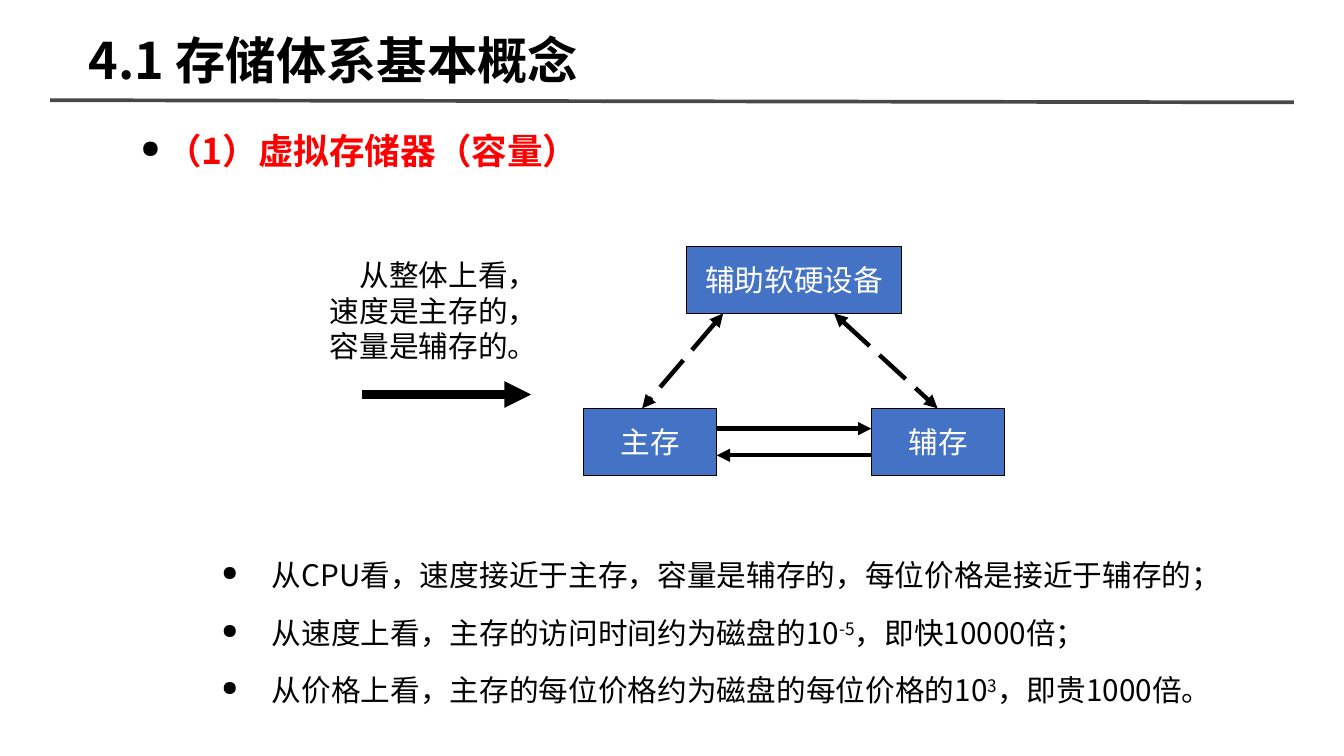
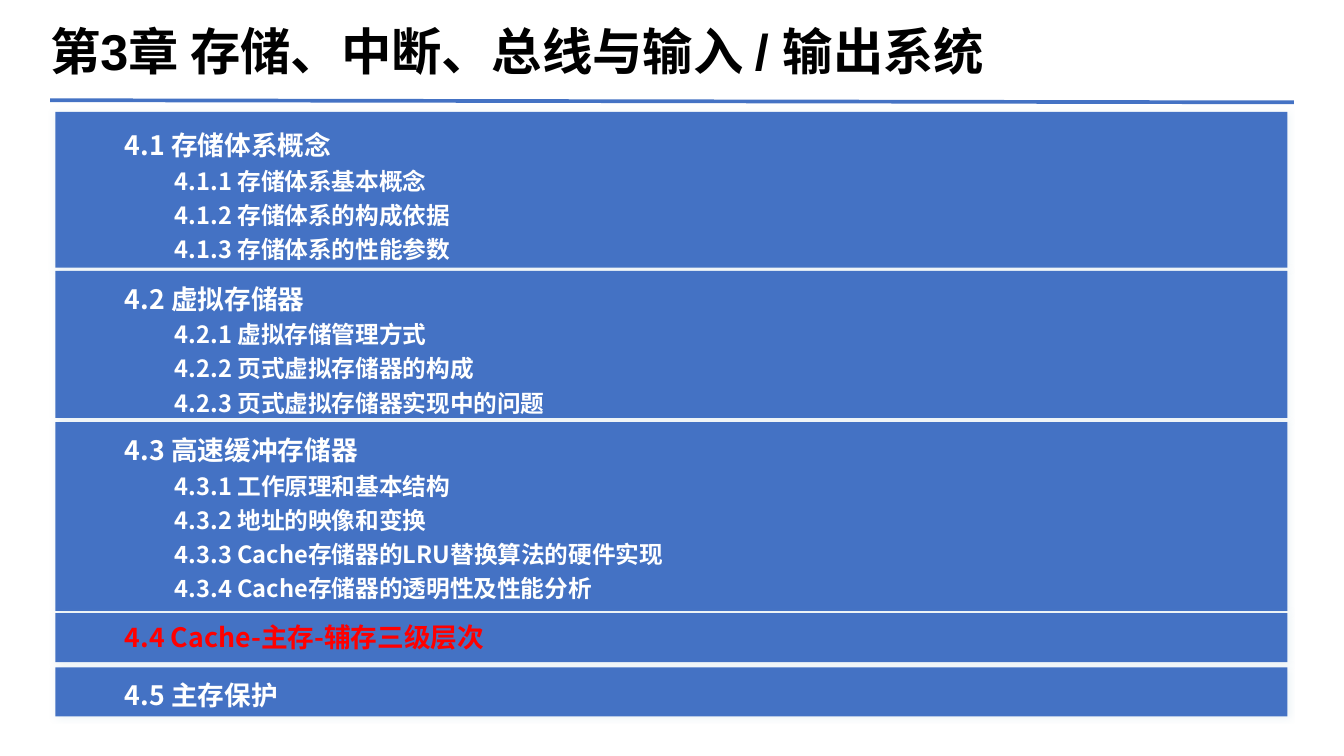
from dataclasses import dataclass

from lxml.etree import SubElement
from pptx import Presentation
from pptx.dml.color import RGBColor
from pptx.enum.dml import MSO_LINE
from pptx.enum.shapes import MSO_CONNECTOR, MSO_SHAPE
from pptx.enum.text import MSO_ANCHOR, PP_ALIGN
from pptx.oxml.ns import qn
from pptx.shapes.autoshape import Shape
from pptx.slide import Slide
from pptx.util import Inches, Length, Pt

COLUMNS, ROWS = 126, 70.9  # grid of square cells, a tenth of an inch each


@dataclass(frozen=True)
class Theme:
    black: str = "000000"
    white: str = "FFFFFF"
    red: str = "FF0000"
    blue: str = "4472C4"
    gray: str = "484849"
    glow: str = "7DADC4"
    font: str = "Noto Sans CJK SC"
    title_font: str = "Arial"
    title: float = 34
    lead: float = 24
    body: float = 20
    heading: float = 18
    entry: float = 16
    leading: float = 1.2  # line height of the font, in ems


THEME = Theme()


@dataclass(frozen=True)
class Area:
    left: float
    top: float
    width: float
    height: float

    def lengths(self) -> tuple[Length, ...]:
        return tuple(cells(n) for n in (self.left, self.top, self.width, self.height))


@dataclass(frozen=True)
class Node:
    label: str
    area: Area


@dataclass(frozen=True)
class Arrow:
    start: tuple[float, float]
    end: tuple[float, float]
    weight: float = 3
    two_way: bool = False


@dataclass(frozen=True)
class Band:
    top: float
    height: float
    heading: str
    entries: tuple[str, ...] = ()
    color: str = THEME.white
    inset: float = 0.5


NODE_TOP, NODE_HEIGHT = 38.3, 6.3
NODES = (
    Node("主存", Area(54.7, NODE_TOP, 12.5, NODE_HEIGHT)),
    Node("辅存", Area(81.7, NODE_TOP, 12.5, NODE_HEIGHT)),
    Node("辅助软硬设备", Area(64.4, 23.1, 20.1, NODE_HEIGHT)),
)
ARROWS = (
    Arrow((67.2, 40.2), (81.7, 40.2)),
    Arrow((81.7, 42.7), (67.2, 42.7)),
    Arrow((67.8, 29.4), (60.2, NODE_TOP), two_way=True),
    Arrow((78.2, 29.4), (87.9, NODE_TOP), two_way=True),
    Arrow((33.9, 37), (49.8, 37), weight=6),
)
OVERVIEW = ("从整体上看，", "速度是主存的，", "容量是辅存的。")
# Each point is text, exponent, text.
POINTS = (
    ("从CPU看，速度接近于主存，容量是辅存的，每位价格是接近于辅存的；",),
    ("从速度上看，主存的访问时间约为磁盘的10", "-5", "，即快10000倍；"),
    ("从价格上看，主存的每位价格约为磁盘的每位价格的10", "3", "，即贵1000倍。"),
)
BANDS = (
    Band(10.5, 14.6, "4.1 存储体系概念",
         ("4.1.1 存储体系基本概念", "4.1.2 存储体系的构成依据", "4.1.3 存储体系的性能参数"),
         inset=1),
    Band(25.4, 13.8, "4.2 虚拟存储器",
         ("4.2.1 虚拟存储管理方式", "4.2.2 页式虚拟存储器的构成",
          "4.2.3 页式虚拟存储器实现中的问题")),
    Band(39.6, 17.7, "4.3 高速缓冲存储器",
         ("4.3.1 工作原理和基本结构", "4.3.2 地址的映像和变换",
          "4.3.3 Cache存储器的LRU替换算法的硬件实现",
          "4.3.4 Cache存储器的透明性及性能分析")),
    Band(57.5, 4.6, "4.4 Cache-主存-辅存三级层次", color=THEME.red, inset=0.1),
    Band(62.6, 4.6, "4.5 主存保护"),
)


def cells(count: float) -> Length:
    return Inches(count / 10)


def rgb(color: str) -> RGBColor:
    return RGBColor.from_string(color)


def write(box: Shape, *spans: str, size: float, color: str = THEME.black,
          bold: bool = False, font: str = THEME.font, spacing: float = 1,
          before: float = 0, align: PP_ALIGN = PP_ALIGN.LEFT,
          indent: float = 0, hanging: float = 0) -> None:
    """Add a paragraph; every second span is an exponent, a hanging indent gets a bullet."""
    frame = box.text_frame
    first = not frame.paragraphs[0].runs
    para = frame.paragraphs[0] if first else frame.add_paragraph()
    para.alignment = align
    para.line_spacing = Pt(size * THEME.leading * spacing)
    para.space_before = Pt(0 if first else before)
    properties = para._p.get_or_add_pPr()
    properties.set("marL", str(cells(indent)))
    properties.set("indent", str(-cells(hanging)))
    if hanging:
        bullet_color = SubElement(properties, qn("a:buClr"))
        SubElement(bullet_color, qn("a:srgbClr"), val=THEME.black)
        SubElement(properties, qn("a:buSzPct"), val="70000")
        SubElement(properties, qn("a:buChar"), char="●")
    for index, text in enumerate(spans):
        span = para.add_run()
        span.text = text
        span.font.size = Pt(size)
        span.font.bold = bold
        span.font.color.rgb = rgb(color)
        span.font.name = font
        marks = span.font._element
        SubElement(marks, qn("a:ea"), typeface=THEME.font)
        if index % 2:
            marks.set("baseline", "30000")


def add_box(page: Slide, area: Area, anchor: MSO_ANCHOR = MSO_ANCHOR.TOP,
            wrap: bool = True) -> Shape:
    box = page.shapes.add_textbox(*area.lengths())
    box.text_frame.word_wrap = wrap
    box.text_frame.vertical_anchor = anchor
    return box


def add_panel(page: Slide, area: Area) -> Shape:
    """Add a blue rectangle without outline or shadow."""
    panel = page.shapes.add_shape(MSO_SHAPE.RECTANGLE, *area.lengths())
    panel.shadow.inherit = False
    panel.fill.solid()
    panel.fill.fore_color.rgb = rgb(THEME.blue)
    panel.line.fill.background()
    return panel


def add_line(page: Slide, start: tuple[float, float], end: tuple[float, float],
             color: str, weight: float, dashed: bool = False,
             heads: tuple[str, ...] = ()) -> None:
    line = page.shapes.add_connector(
        MSO_CONNECTOR.STRAIGHT, *(cells(n) for n in (*start, *end)))
    line.line.color.rgb = rgb(color)
    line.line.width = Pt(weight)
    if dashed:
        line.line.dash_style = MSO_LINE.LONG_DASH
    outline = line.line._get_or_add_ln()
    for head in heads:
        SubElement(outline, qn(head), type="triangle")
    SubElement(line._element.spPr, qn("a:effectLst"))


def add_page(deck: Presentation, title: str, area: Area, rule_color: str,
             font: str = THEME.font, margin: float = 1) -> Slide:
    """Add a blank page with its title and the rule below it."""
    page = deck.slides.add_slide(deck.slide_layouts[6])
    add_line(page, (4.7, 9.4), (121.3, 9.6), rule_color, 2.5)
    box = add_box(page, area, MSO_ANCHOR.MIDDLE)
    box.text_frame.margin_left = box.text_frame.margin_right = cells(margin)
    write(box, title, size=THEME.title, bold=True, font=font)
    return page


def add_node(page: Slide, node: Node) -> None:
    panel = add_panel(page, node.area)
    panel.line.color.rgb = rgb(THEME.black)
    panel.line.width = Pt(0.75)
    panel.text_frame.word_wrap = False
    panel.text_frame.vertical_anchor = MSO_ANCHOR.MIDDLE
    write(panel, node.label, size=THEME.body, color=THEME.white, align=PP_ALIGN.CENTER)


def add_arrow(page: Slide, arrow: Arrow) -> None:
    heads = ("a:headEnd", "a:tailEnd") if arrow.two_way else ("a:tailEnd",)
    add_line(page, arrow.start, arrow.end, THEME.black, arrow.weight,
             dashed=arrow.two_way, heads=heads)


def add_glow(panel: Shape) -> None:
    effects = panel._element.spPr.find(qn("a:effectLst"))
    shadow = SubElement(effects, qn("a:outerShdw"), blurRad=str(Pt(5)), dist="0")
    color = SubElement(shadow, qn("a:srgbClr"), val=THEME.glow)
    SubElement(color, qn("a:alpha"), val="15000")


def add_band(page: Slide, band: Band) -> None:
    panel = add_panel(page, Area(5.2, band.top, 115.5, band.height))
    add_glow(panel)
    frame = panel.text_frame
    frame.word_wrap = True
    frame.vertical_anchor = MSO_ANCHOR.TOP
    frame.margin_left, frame.margin_top = cells(6.5), cells(band.inset)
    frame.margin_bottom = 0
    write(panel, band.heading, size=THEME.heading, color=band.color, bold=True, spacing=1.2)
    for entry in band.entries:
        write(panel, entry, size=THEME.entry, color=band.color, bold=True,
              spacing=1.2, indent=4.7)


def add_concept_page(deck: Presentation) -> None:
    page = add_page(deck, "4.1 存储体系基本概念", Area(7.3, 2.4, 81.1, 6.3), THEME.gray)
    lead = add_box(page, Area(12.2, 12, 85, 14.1))
    write(lead, "（1）虚拟存储器（容量）", size=THEME.lead, color=THEME.red, bold=True,
          spacing=0.9, indent=2.4, hanging=2.4)
    points = add_box(page, Area(15, 52.1, 104.2, 14.9))
    for spans in POINTS:
        write(points, *spans, size=THEME.body, spacing=0.9, before=17,
              indent=9.5, hanging=4.7)
    for node in NODES:
        add_node(page, node)
    for arrow in ARROWS:
        add_arrow(page, arrow)
    overview = add_box(page, Area(29.7, 23.6, 21.7, 11.1), wrap=False)
    for text in OVERVIEW:
        write(overview, text, size=THEME.body, align=PP_ALIGN.RIGHT)


def add_outline_page(deck: Presentation) -> None:
    page = add_page(deck, "第3章 存储、中断、总线与输入 / 输出系统",
                    Area(4.7, 1.6, 116.5, 6.3), THEME.blue,
                    font=THEME.title_font, margin=0)
    for band in BANDS:
        add_band(page, band)


def main() -> None:
    deck = Presentation()
    deck.slide_width, deck.slide_height = cells(COLUMNS), cells(ROWS)
    add_concept_page(deck)
    add_outline_page(deck)
    deck.save("out.pptx")


if __name__ == "__main__":
    main()
